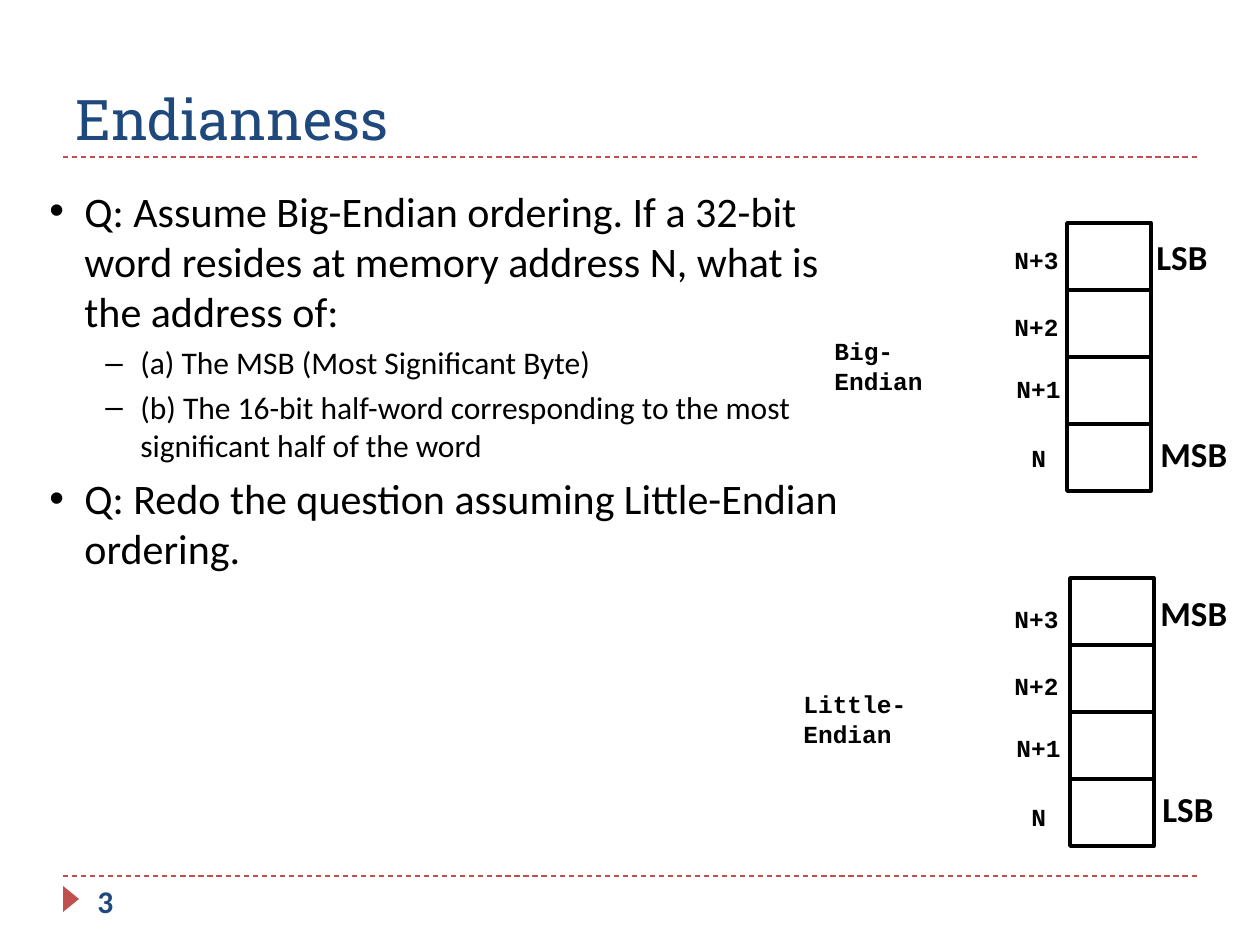
from lxml import etree
from pptx import Presentation, util as u
from pptx.dml.color import RGBColor
from pptx.enum import dml, shapes, text
from pptx.oxml.ns import qn

COLORS = {"navy": "1F497D", "red": "C0504D", "black": "000000", "white": "FFFFFF"}

# Text styles
TITLE = {"name": "Roboto Slab", "size": 32, "color": "navy"}
NUMBER = {"name": "Calibri", "size": 18, "color": "navy", "bold": True}
END = {"name": "Calibri", "size": 20, "color": "black", "bold": True}
CODE = {"name": "Courier New", "size": 14, "color": "black", "bold": True}

# Question levels: bullet, indent in px, size, space before
LEVELS = [("•", 35, 24, 5), ("–", 91, 18, 4)]
HANGING = 35
QUESTIONS = [
    (0, "Q: Assume Big-Endian ordering. If a 32-bit word resides at memory "
        "address N, what is the address of:"),
    (1, "(a) The MSB (Most Significant Byte)"),
    (1, "(b) The 16-bit half-word corresponding to the most significant half of the word"),
    (0, "Q: Redo the question assuming Little-Endian ordering."),
]

# Memory stacks: corner of the cells, name, first address, byte labels
STACKS = [
    {"corner": (1067, 223), "name": ("Big-Endian", 822, 330, 159), "address_top": 239,
     "ends": [("LSB", 1144, 229), ("MSB", 1148, 426)]},
    {"corner": (1070, 578), "name": ("Little-Endian", 791, 683, 186), "address_top": 598,
     "ends": [("MSB", 1148, 585), ("LSB", 1150, 781)]},
]
ADDRESSES = [("N+3", 1002, 0), ("N+2", 1002, 67), ("N+1", 1004, 129), ("N", 1019, 198)]
CELL_WIDTH, CELL_HEIGHT = 84, 67


def px(length):
    return u.Emu(round(length * 914400 / 126))


def color(name):
    return RGBColor.from_string(COLORS[name])


def style(font, values):
    for key, value in values.items():
        if key == "color":
            font.color.rgb = color(value)
        else:
            setattr(font, key, u.Pt(value) if key == "size" else value)


def add_box(left, top, width, height):
    box = slide.shapes.add_textbox(*map(px, (left, top, width, height)))
    box.text_frame.word_wrap = True
    return box.text_frame


def add_label(words, place, values):
    frame = add_box(*place)
    frame.text = words
    style(frame.paragraphs[0].font, values)
    return frame


def add_rule(top):
    rule = slide.shapes.add_connector(
        shapes.MSO_CONNECTOR.STRAIGHT, px(63), px(top), px(1197), px(top))
    rule.line.color.rgb = color("red")
    rule.line.width = u.Pt(0.75)
    rule.line.dash_style = dml.MSO_LINE.DASH
    etree.SubElement(rule._element.spPr, qn("a:effectLst"))


def add_solid(parent, kind, place, fill):
    shape = parent.shapes.add_shape(kind, *map(px, place))
    shape.shadow.inherit = False
    shape.fill.solid()
    shape.fill.fore_color.rgb = color(fill)
    return shape


def add_stack(stack):
    left, top = stack["corner"]
    for words, x, y in stack["ends"]:
        add_label(words, (x, y, 100, 55), END)
    group = slide.shapes.add_group_shape()
    for row in range(len(ADDRESSES)):
        place = (left, top + row * CELL_HEIGHT, CELL_WIDTH, CELL_HEIGHT)
        cell = add_solid(group, shapes.MSO_SHAPE.RECTANGLE, place, "white")
        cell.line.color.rgb = color("black")
        cell.line.width = u.Pt(2)
    name, x, y, width = stack["name"]
    add_label(name, (x, y, width, 50), CODE)
    for words, x, offset in ADDRESSES:
        add_label(words, (x, stack["address_top"] + offset, 84, 50), CODE)


deck = Presentation()
deck.slide_width, deck.slide_height = px(1260), px(945)
slide = deck.slides.add_slide(deck.slide_layouts[6])

# Rules, page marker and title
add_rule(876)
add_rule(157)
marker = add_solid(slide, shapes.MSO_SHAPE.ISOSCELES_TRIANGLE, (58, 891, 26, 16), "red")
marker.line.fill.background()
marker.rotation = 90
title = add_label("Endianness", (63, 32, 1134, 126), TITLE)
title.vertical_anchor = text.MSO_ANCHOR.BOTTOM
add_label("3", (85, 876, 273, 50), NUMBER)

# Questions
body = add_box(37, 179, 814, 630)
for index, (level, words) in enumerate(QUESTIONS):
    bullet, indent, size, space = LEVELS[level]
    para = body.add_paragraph() if index else body.paragraphs[0]
    para.text = words
    para.level = level
    if index:
        para.space_before = u.Pt(space)
    props = para._p.get_or_add_pPr()
    props.set("marL", str(px(indent)))
    props.set("indent", str(-px(HANGING)))
    etree.SubElement(props, qn("a:buFont"), typeface="Arial")
    etree.SubElement(props, qn("a:buChar"), char=bullet)
    style(para.font, {"name": "Calibri", "size": size, "color": "black"})

# Memory diagrams
for stack in STACKS:
    add_stack(stack)

deck.save("out.pptx")
